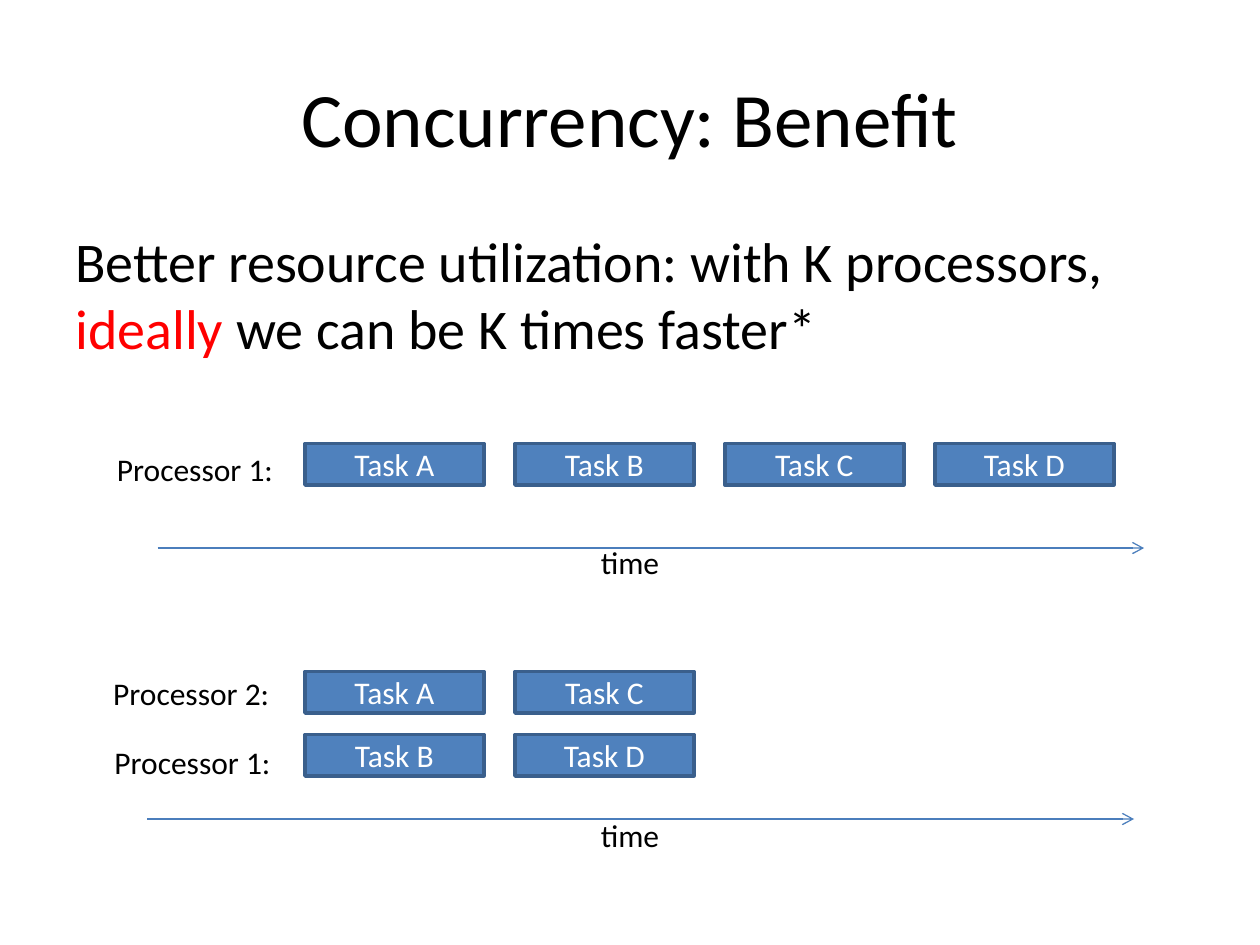
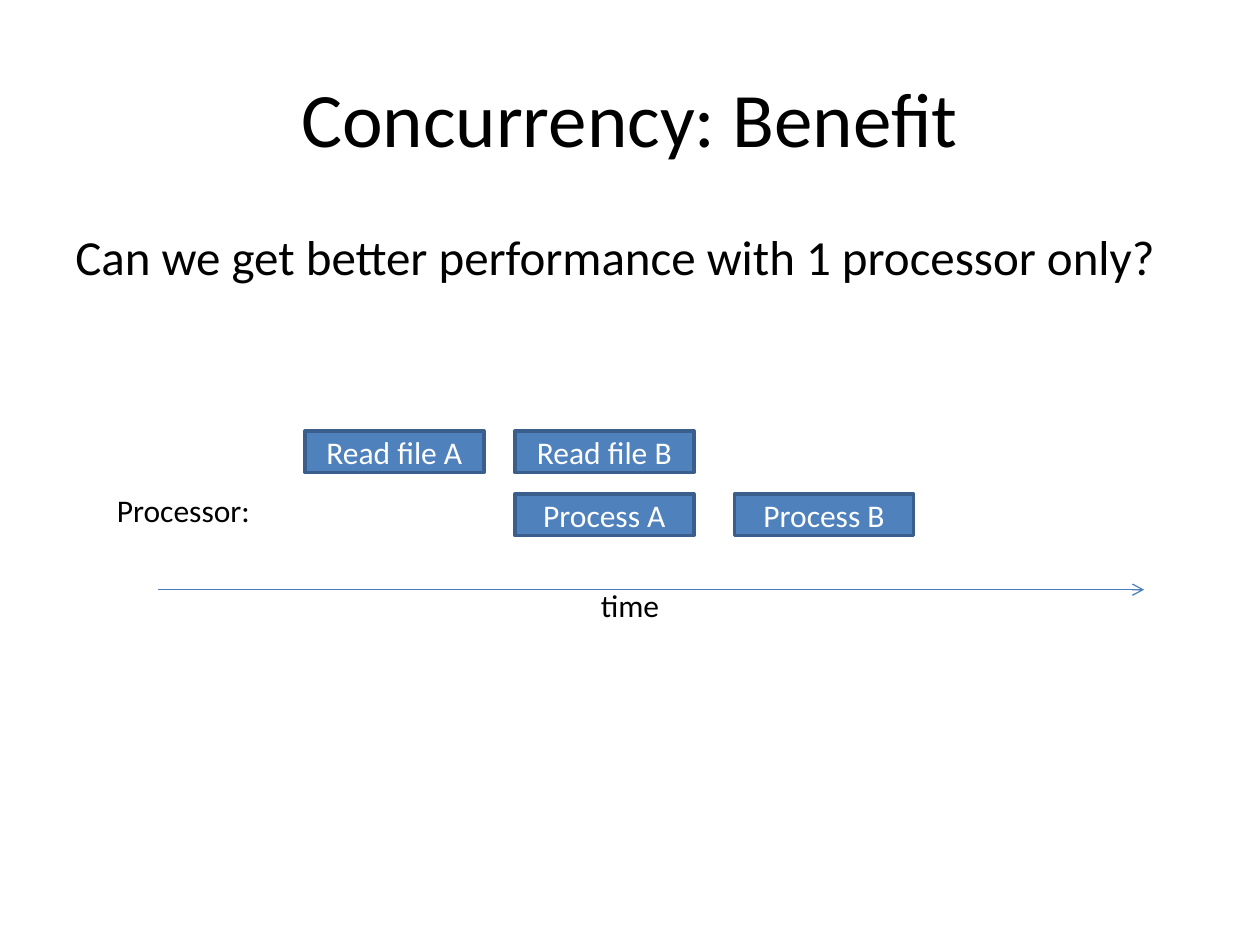
from dataclasses import dataclass

from lxml import etree
from pptx import Presentation
from pptx.dml.color import RGBColor
from pptx.enum import shapes, text
from pptx.oxml import ns
from pptx.util import Inches, Pt

FONT = "Calibri"
BLACK, WHITE, RED = "000000", "FFFFFF", "FF0000"
TASK_FILL, TASK_LINE, ARROW = "4F81BD", "3A5F8C", "4B7EBC"
TASK_W, TASK_H = 1.42, 0.33
COLUMNS = [2.42 + i * 5 / 3 for i in range(4)]
ARROW_W = 7.83


@dataclass
class Task:
    name: str
    left: float
    top: float


@dataclass
class Label:
    name: str
    left: float
    top: float
    width: float


@dataclass
class Axis:
    left: float
    top: float
    label_top: float


@dataclass
class Page:
    body: list[tuple[str, str]]
    body_size: int
    tasks: list[Task]
    labels: list[Label]
    axes: list[Axis]


def rgb(value: str) -> RGBColor:
    return RGBColor.from_string(value)


def set_font(font, size: float, color: str | None = None) -> None:
    font.name = FONT
    font.size = Pt(size)
    if color:
        font.color.rgb = rgb(color)


def add_text(s, left: float, top: float, width: float, height: float,
             runs: list[tuple[str, str]], size: float, wrap: bool = True):
    sp = s.shapes.add_textbox(Inches(left), Inches(top), Inches(width), Inches(height))
    tf = sp.text_frame
    tf.word_wrap = wrap
    p = tf.paragraphs[0]
    set_font(p.font, size)
    for content, color in runs:
        r = p.add_run()
        r.text = content
        set_font(r.font, size, color)
    return tf


def add_title(s, title: str) -> None:
    tf = add_text(s, 0.5, 0.3, 9, 1.25, [(title, BLACK)], 44)
    tf.vertical_anchor = text.MSO_ANCHOR.MIDDLE
    tf.paragraphs[0].alignment = text.PP_ALIGN.CENTER


def add_label(s, label: Label) -> None:
    tf = add_text(s, label.left, label.top, label.width, 0.4,
                  [(label.name, BLACK)], 18, wrap=False)
    tf.auto_size = text.MSO_AUTO_SIZE.SHAPE_TO_FIT_TEXT


def add_task(s, task: Task) -> None:
    sp = s.shapes.add_shape(shapes.MSO_SHAPE.RECTANGLE, Inches(task.left),
                            Inches(task.top), Inches(TASK_W), Inches(TASK_H))
    sp.shadow.inherit = False
    sp.fill.solid()
    sp.fill.fore_color.rgb = rgb(TASK_FILL)
    sp.line.color.rgb = rgb(TASK_LINE)
    sp.line.width = Pt(2)
    tf = sp.text_frame
    tf.vertical_anchor = text.MSO_ANCHOR.MIDDLE
    p = tf.paragraphs[0]
    p.text = task.name
    p.alignment = text.PP_ALIGN.CENTER
    set_font(p.font, 18, WHITE)


def add_axis(s, axis: Axis) -> None:
    y = Inches(axis.top)
    line = s.shapes.add_connector(shapes.MSO_CONNECTOR.STRAIGHT, Inches(axis.left), y,
                                  Inches(axis.left + ARROW_W), y)
    line.line.color.rgb = rgb(ARROW)
    line.line.width = Pt(0.75)
    ln = line.line._get_or_add_ln()
    etree.SubElement(ln, ns.qn("a:tailEnd")).set("type", "arrow")
    etree.SubElement(line._element.spPr, ns.qn("a:effectLst"))
    add_label(s, Label("time", 4.67, axis.label_top, 0.67))


def add_page(prs, page: Page) -> None:
    s = prs.slides.add_slide(prs.slide_layouts[6])
    add_title(s, "Concurrency: Benefit")
    tf = add_text(s, 0.5, 1.75, 9, 4.95, page.body, page.body_size)
    tf.paragraphs[0].space_before = Pt(page.body_size * 0.2)
    for task in page.tasks:
        add_task(s, task)
    for axis in page.axes:
        add_axis(s, axis)
    for label in page.labels:
        add_label(s, label)


PAGES = [
    Page(
        body=[("Better resource utilization: with K processors, ", BLACK),
              ("ideally", RED),
              (" we can be K times faster*", BLACK)],
        body_size=32,
        tasks=[Task(f"Task {c}", x, 3.52) for c, x in zip("ABCD", COLUMNS)]
        + [Task(f"Task {c}", x, y)
           for x, pair in zip(COLUMNS, ("AB", "CD"))
           for c, y in zip(pair, (5.33, 5.83))],
        labels=[Label("Processor 1:", 0.83, 3.52, 1.45),
                Label("Processor 1:", 0.81, 5.85, 1.45),
                Label("Processor 2:", 0.8, 5.3, 1.45)],
        axes=[Axis(1.25, 4.35, 4.26), Axis(1.17, 6.5, 6.43)],
    ),
    Page(
        body=[("Can we get better performance with 1 processor only?", BLACK)],
        body_size=28,
        tasks=[Task("Read file A", COLUMNS[0], 3.42),
               Task("Process A", COLUMNS[1], 3.92),
               Task("Read file B", COLUMNS[1], 3.42),
               Task("Process B", 5.83, 3.92)],
        labels=[Label("Processor:", 0.83, 3.85, 1.27)],
        axes=[Axis(1.25, 4.68, 4.6)],
    ),
]


def main() -> None:
    prs = Presentation()
    prs.slide_width, prs.slide_height = Inches(10), Inches(7.5)
    for page in PAGES:
        add_page(prs, page)
    prs.save("out.pptx")


main()
